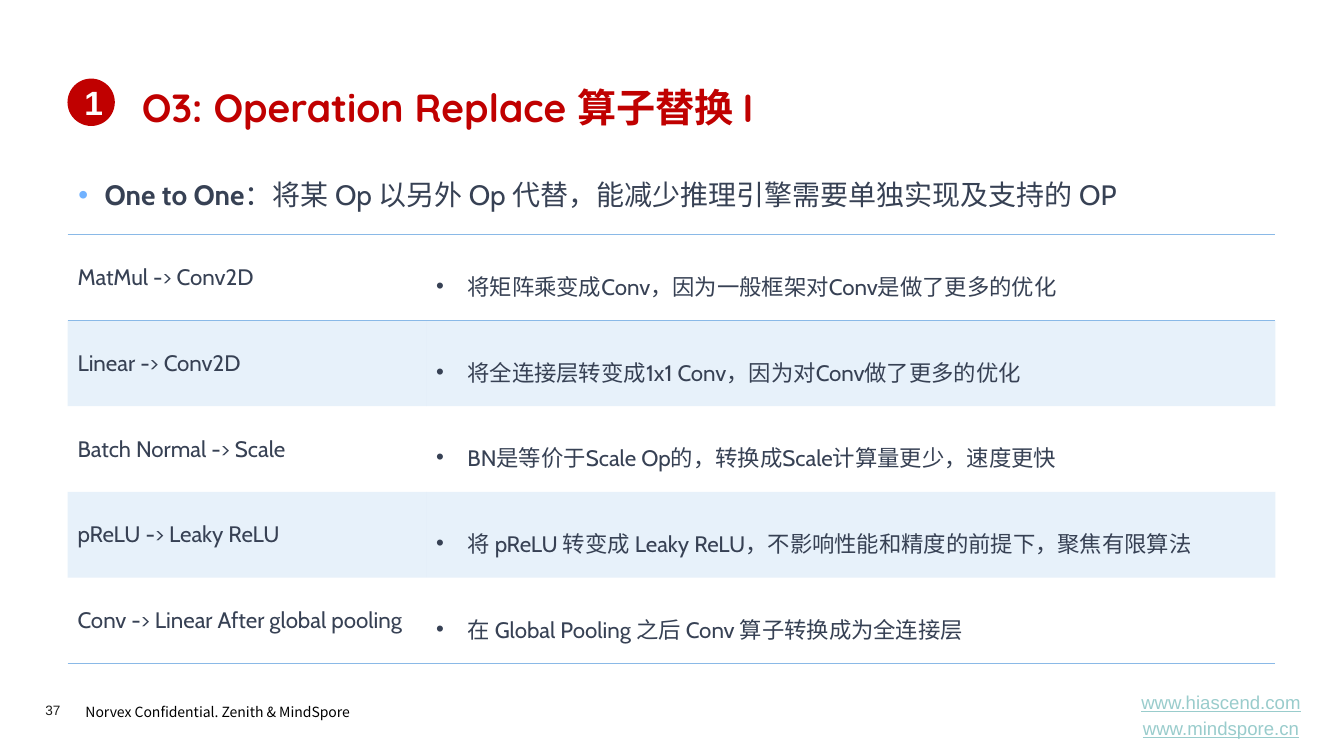
from dataclasses import dataclass

from lxml.etree import SubElement
from pptx import Presentation
from pptx.dml.color import RGBColor
from pptx.enum.shapes import MSO_SHAPE
from pptx.enum.text import MSO_ANCHOR, PP_ALIGN
from pptx.oxml import parse_xml
from pptx.oxml.ns import nsdecls, qn
from pptx.util import Inches, Pt

RED = RGBColor(0xC0, 0x00, 0x00)
SLATE = RGBColor(0x37, 0x41, 0x54)
SKY = RGBColor(0x8A, 0xB9, 0xE7)
BULLET_BLUE = RGBColor(0x71, 0xB2, 0xFF)
LINK_TEAL = RGBColor(0x99, 0xCC, 0xCC)
NUMBER_GREY = RGBColor(0x1D, 0x1D, 0x1B)
BLACK = RGBColor(0x00, 0x00, 0x00)
WHITE = RGBColor(0xFF, 0xFF, 0xFF)

CHINESE_FONT = "Noto Sans CJK SC"
NO_TABLE_STYLE = "{2D5ABB26-0587-4C30-8999-92F81FD0307C}"
COLUMN_WIDTHS = (3.56, 8.43)
ROW_HEIGHT = 0.85


@dataclass(frozen=True)
class Replacement:
    operation: str
    reason: str
    shaded: bool = False
    top_line: bool = False
    bottom_line: bool = False


REPLACEMENTS = (
    Replacement("MatMul -> Conv2D", "将矩阵乘变成Conv，因为一般框架对Conv是做了更多的优化",
                top_line=True, bottom_line=True),
    Replacement("Linear -> Conv2D", "将全连接层转变成1x1 Conv，因为对Conv做了更多的优化", shaded=True),
    Replacement("Batch Normal -> Scale", "BN是等价于Scale Op的，转换成Scale计算量更少，速度更快"),
    Replacement("pReLU -> Leaky ReLU",
                "将 pReLU 转变成 Leaky ReLU，不影响性能和精度的前提下，聚焦有限算法", shaded=True),
    Replacement("Conv -> Linear After global pooling",
                "在 Global Pooling 之后 Conv 算子转换成为全连接层", bottom_line=True),
)


def add_text(para, text: str, *, size: float, font: str = "Arial", color: RGBColor = SLATE,
             bold: bool = False, underline: bool = False) -> None:
    span = para.add_run()
    span.text = text
    span.font.size = Pt(size)
    span.font.name = font
    span.font.bold = bold
    span.font.underline = underline
    span.font.color.rgb = color
    latin = span._r.rPr.find(qn("a:latin"))
    latin.addnext(parse_xml(f'<a:ea {nsdecls("a")} typeface="{CHINESE_FONT}"/>'))


def add_frame(page, left: float, top: float, width: float, height: float,
              anchor: MSO_ANCHOR = MSO_ANCHOR.TOP):
    box = page.shapes.add_textbox(Inches(left), Inches(top), Inches(width), Inches(height))
    box.text_frame.word_wrap = True
    box.text_frame.vertical_anchor = anchor
    return box.text_frame


def add_bullet(para, indent: float, color: RGBColor) -> None:
    properties = para._p.get_or_add_pPr()
    properties.set("marL", str(Inches(indent)))
    properties.set("indent", str(-Inches(indent)))
    bullet_color = SubElement(properties, qn("a:buClr"))
    SubElement(bullet_color, qn("a:srgbClr"), val=str(color))
    SubElement(properties, qn("a:buFont"), typeface="Arial")
    SubElement(properties, qn("a:buChar"), char="•")
    para.line_spacing = 1.5


def style_cell(cell, row: Replacement) -> None:
    cell.vertical_anchor = MSO_ANCHOR.MIDDLE
    if row.shaded:
        cell.fill.solid()
        cell.fill.fore_color.rgb = SKY
        tint = cell._tc.tcPr.find(f".//{qn('a:srgbClr')}")
        SubElement(tint, qn("a:alpha"), val="20000")
    else:
        cell.fill.background()
    sides = [side for side, shown in (("lnT", row.top_line), ("lnB", row.bottom_line)) if shown]
    for position, side in enumerate(sides):
        border = parse_xml(
            f'<a:{side} {nsdecls("a")} w="{Pt(1)}"><a:solidFill>'
            f'<a:srgbClr val="{SKY}"/></a:solidFill></a:{side}>')
        cell._tc.tcPr.insert(position, border)


def add_replacement_table(page) -> None:
    table = page.shapes.add_table(
        len(REPLACEMENTS), len(COLUMN_WIDTHS), Inches(0.67), Inches(2.33),
        Inches(sum(COLUMN_WIDTHS)), Inches(ROW_HEIGHT * len(REPLACEMENTS))).table
    table.first_row = False
    table.horz_banding = False
    table._tbl.tblPr.find(qn("a:tableStyleId")).text = NO_TABLE_STYLE
    for column, width in zip(table.columns, COLUMN_WIDTHS):
        column.width = Inches(width)
    for line, row in zip(table.rows, REPLACEMENTS):
        line.height = Inches(ROW_HEIGHT)
        operation_cell, reason_cell = line.cells
        add_bullet(reason_cell.text_frame.paragraphs[0], 0.31, SLATE)
        for cell, text in ((operation_cell, row.operation), (reason_cell, row.reason)):
            style_cell(cell, row)
            add_text(cell.text_frame.paragraphs[0], text, size=16, font="Cabin")


def add_heading(page) -> None:
    title = add_frame(page, 1.31, 0.74, 11.36, 0.64, MSO_ANCHOR.MIDDLE)
    add_text(title.paragraphs[0], "O3: Operation Replace 算子替换 I",
             size=28, font="Quicksand", color=RED, bold=True)

    badge = page.shapes.add_shape(
        MSO_SHAPE.OVAL, Inches(0.67), Inches(0.78), Inches(0.47), Inches(0.47))
    badge.shadow.inherit = False
    badge.fill.solid()
    badge.fill.fore_color.rgb = RED
    badge.line.fill.background()
    badge.text_frame.vertical_anchor = MSO_ANCHOR.MIDDLE
    number = badge.text_frame.paragraphs[0]
    number.alignment = PP_ALIGN.CENTER
    add_text(number, "1", size=24, color=WHITE, bold=True)

    summary = add_frame(page, 0.68, 1.55, 11.99, 0.64).paragraphs[0]
    add_bullet(summary, 0.26, BULLET_BLUE)
    add_text(summary, "One to One", size=20, font="Cabin", bold=True)
    add_text(summary, "：将某 Op 以另外 Op 代替，能减少推理引擎需要单独实现及支持的 OP",
             size=20, font="Cabin")


def add_footer(page) -> None:
    notice = add_frame(page, 0.75, 6.9, 3.13, 0.29).paragraphs[0]
    notice.line_spacing = 1.2
    add_text(notice, "Norvex Confidential. Zenith & MindSpore",
             size=10, font=CHINESE_FONT, color=BLACK)

    page_number = add_frame(page, 0.45, 6.96, 0.55, 0.16)
    page_number.margin_left = page_number.margin_right = 0
    page_number.margin_top = page_number.margin_bottom = 0
    add_text(page_number.paragraphs[0], "37", size=9.7, color=NUMBER_GREY)

    links = add_frame(page, 11.04, 6.88, 2.16, 0.43, MSO_ANCHOR.MIDDLE)
    first, second = links.paragraphs[0], links.add_paragraph()
    second.space_before = Pt(3)
    for para, address in ((first, "www.hiascend.com"), (second, "www.mindspore.cn")):
        para.alignment = PP_ALIGN.CENTER
        add_text(para, address, size=13.3, color=LINK_TEAL, underline=True)


def main() -> None:
    deck = Presentation()
    deck.slide_width = Inches(13.34)
    deck.slide_height = Inches(7.5)
    page = deck.slides.add_slide(deck.slide_layouts[6])
    add_footer(page)
    add_replacement_table(page)
    add_heading(page)
    deck.save("out.pptx")


if __name__ == "__main__":
    main()
